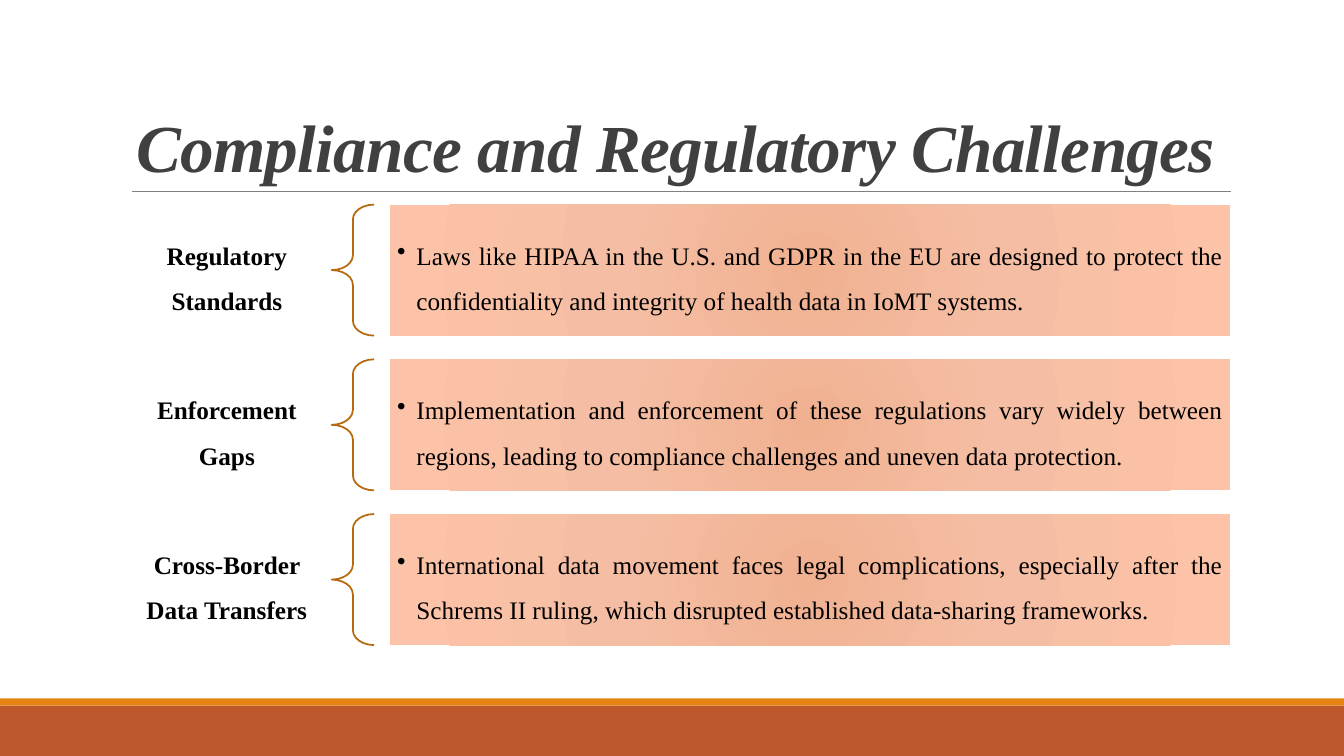
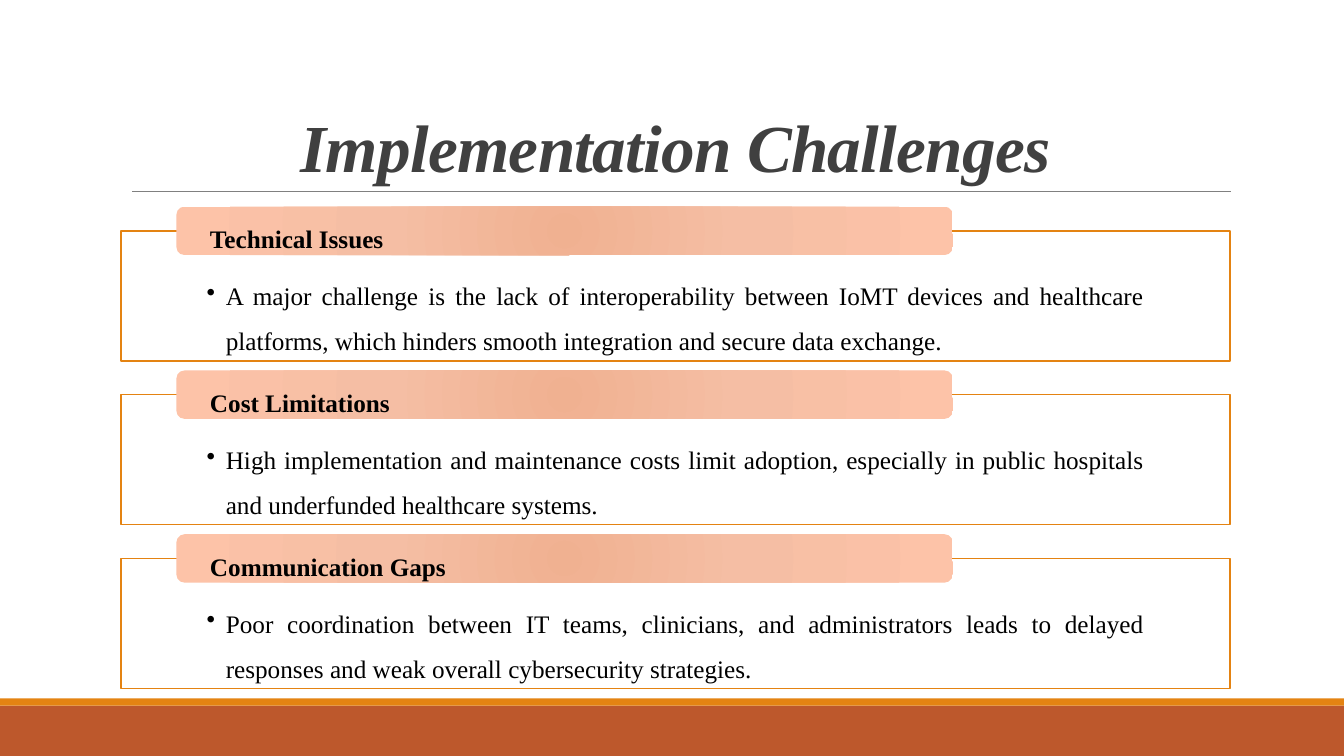
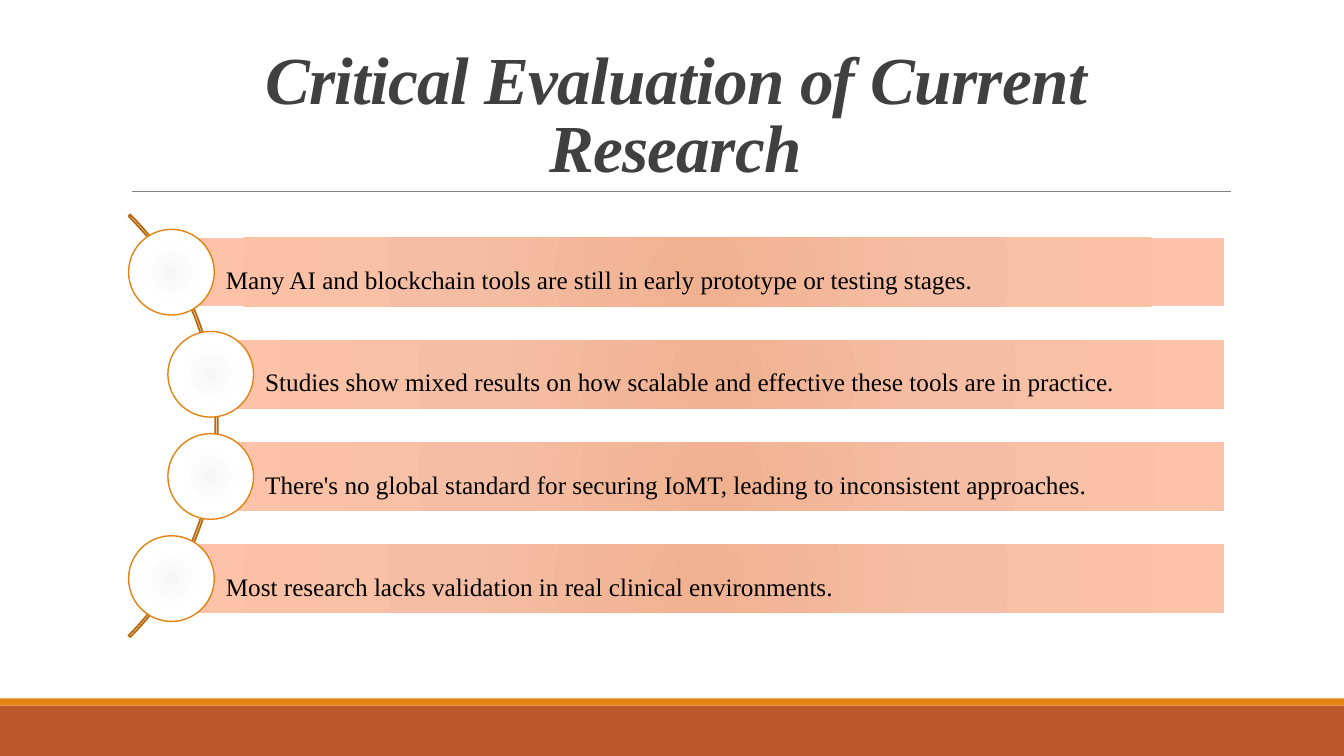
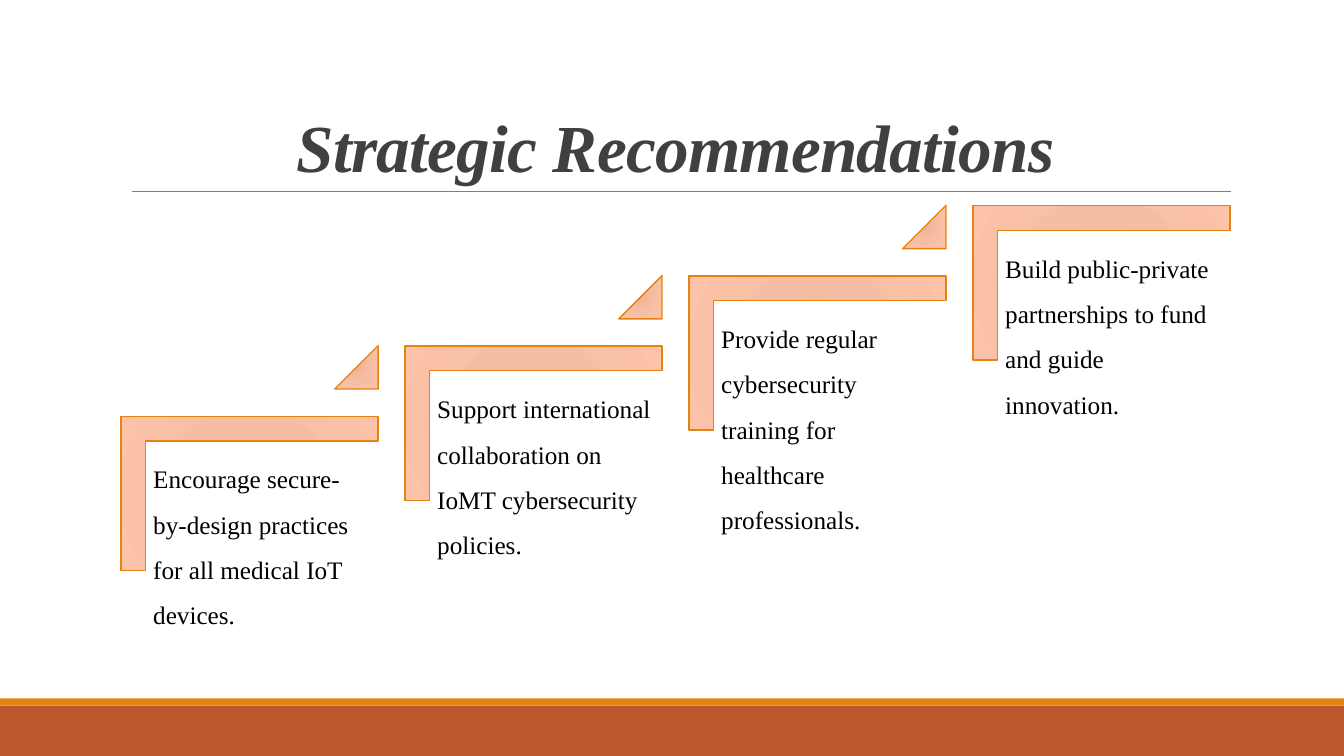
from dataclasses import dataclass

from lxml import etree
from pptx import Presentation
from pptx.dml.color import RGBColor
from pptx.enum.shapes import MSO_CONNECTOR, MSO_SHAPE
from pptx.enum.text import MSO_ANCHOR, MSO_AUTO_SIZE, PP_ALIGN
from pptx.oxml import parse_xml
from pptx.oxml.ns import nsdecls, qn
from pptx.presentation import Presentation as Deck
from pptx.shapes.autoshape import Shape
from pptx.slide import Slide, SlideLayout
from pptx.util import Inches, Pt

RECT, ROUND, OVAL = MSO_SHAPE.RECTANGLE, MSO_SHAPE.ROUNDED_RECTANGLE, MSO_SHAPE.OVAL
BRACE, ARC = MSO_SHAPE.LEFT_BRACE, MSO_SHAPE.BLOCK_ARC
CORNER, WEDGE = MSO_SHAPE.from_xml("corner"), MSO_SHAPE.ISOSCELES_TRIANGLE
LEFT, CENTER, JUSTIFY = PP_ALIGN.LEFT, PP_ALIGN.CENTER, PP_ALIGN.JUSTIFY
TOP, MIDDLE, BOTTOM = MSO_ANCHOR.TOP, MSO_ANCHOR.MIDDLE, MSO_ANCHOR.BOTTOM


@dataclass(frozen=True)
class Theme:
    font: str = "Times New Roman"
    title: int = 48
    body: int = 18
    ink: str = "000000"
    head: str = "404040"
    rule: str = "808080"
    rust: str = "BD582C"
    orange: str = "E48312"
    brown: str = "B7690E"
    white: str = "FFFFFF"
    peach: tuple[str, ...] = ("F0B191", "F5BEA4", "FDC3A8")
    pearl: tuple[str, ...] = ("F6F6F6", "FEFEFE", "FFFFFF")


THEME = Theme()


@dataclass(frozen=True)
class Box:
    left: float
    top: float
    width: float
    height: float


@dataclass(frozen=True)
class Style:
    inset: tuple[float, float, float, float]  # left, top, right, bottom
    align: PP_ALIGN = JUSTIFY
    anchor: MSO_ANCHOR = MIDDLE
    bold: bool = False
    bullet: bool = False


@dataclass(frozen=True)
class Topic:
    name: str
    text: str


LABEL = Style((0.14, 0.05, 0.14, 0.05), CENTER, bold=True)
POINT = Style((0.07, 0.07, 0.07, 0.07), bullet=True)
PANEL = Style((0.85, 0.34, 0.85, 0.14), anchor=TOP, bullet=True)
TAB = Style((0.31, 0.02, 0.31, 0.02), bold=True)
BAR = Style((0.54, 0.05, 0.05, 0.05))
STEP = Style((0.07, 0.07, 0.07, 0.07), LEFT, TOP)

RULES = (
    Topic("Regulatory Standards", "Laws like HIPAA in the U.S. and GDPR in the EU are designed to protect "
          "the confidentiality and integrity of health data in IoMT systems."),
    Topic("Enforcement Gaps", "Implementation and enforcement of these regulations vary widely between "
          "regions, leading to compliance challenges and uneven data protection."),
    Topic("Cross-Border Data Transfers", "International data movement faces legal complications, especially "
          "after the Schrems II ruling, which disrupted established data-sharing frameworks."),
)
ISSUES = (
    Topic("Technical Issues", "A major challenge is the lack of interoperability between IoMT devices and "
          "healthcare platforms, which hinders smooth integration and secure data exchange."),
    Topic("Cost Limitations", "High implementation and maintenance costs limit adoption, especially in "
          "public hospitals and underfunded healthcare systems."),
    Topic("Communication Gaps", "Poor coordination between IT teams, clinicians, and administrators leads "
          "to delayed responses and weak overall cybersecurity strategies."),
)
LIMITS = (
    "Many AI and blockchain tools are still in early prototype or testing stages.",
    "Studies show mixed results on how scalable and effective these tools are in practice.",
    "There's no global standard for securing IoMT, leading to inconsistent approaches.",
    "Most research lacks validation in real clinical environments.",
)
ADVICE = (
    "Encourage secure-by-design practices for all medical IoT devices.",
    "Support international collaboration on IoMT cybersecurity policies.",
    "Provide regular cybersecurity training for healthcare professionals.",
    "Build public-private partnerships to fund and guide innovation.",
)


# Helpers
def color(code: str) -> RGBColor:
    return RGBColor.from_string(code)


def spread(first: float, last: float, count: int) -> list[float]:
    """Evenly spaced positions from first to last."""
    return [first + (last - first) * i / (count - 1) for i in range(count)]


def lengths(box: Box) -> tuple[int, int, int, int]:
    return Inches(box.left), Inches(box.top), Inches(box.width), Inches(box.height)


def radial(shape: Shape, shades: tuple[str, ...]) -> None:
    """Fill a shape with a gradient that spreads from its centre."""
    stops = "".join(
        f'<a:gs pos="{pos * 1000}"><a:srgbClr val="{shade}"/></a:gs>'
        for pos, shade in zip((0, 45, 100), shades)
    )
    edge = " ".join(f'{side}="100000"' for side in "ltrb")
    grad = parse_xml(
        f'<a:gradFill {nsdecls("a")} rotWithShape="1"><a:gsLst>{stops}</a:gsLst>'
        f'<a:path path="circle"><a:fillToRect {edge}/></a:path></a:gradFill>'
    )
    shape.fill.background()
    blank = shape.element.spPr.find(qn("a:noFill"))
    blank.getparent().replace(blank, grad)


def draw(slide: Slide, kind: MSO_SHAPE, box: Box, fill: str | tuple[str, ...] | None = None,
         line: str | None = None, weight: float = 1, adjust: tuple[float, ...] = ()) -> Shape:
    shape = slide.shapes.add_shape(kind, *lengths(box))
    shape.shadow.inherit = False
    for i, value in enumerate(adjust):
        shape.adjustments[i] = value
    if fill is None:
        shape.fill.background()
    elif isinstance(fill, tuple):
        radial(shape, fill)
    else:
        shape.fill.solid()
        shape.fill.fore_color.rgb = color(fill)
    if line:
        shape.line.color.rgb = color(line)
        shape.line.width = Pt(weight)
    else:
        shape.line.fill.background()
    return shape


def write(shape: Shape, text: str, style: Style) -> None:
    frame = shape.text_frame
    frame.word_wrap = True
    frame.vertical_anchor = style.anchor
    (frame.margin_left, frame.margin_top,
     frame.margin_right, frame.margin_bottom) = map(Inches, style.inset)
    para = frame.paragraphs[0]
    para.text = text
    para.alignment = style.align
    para.line_spacing = 1.5
    para.space_after = Pt(3 if style.bullet else 6)
    if style.bullet:
        props = shape.element.find(".//" + qn("a:pPr"))
        props.set("marL", str(Inches(0.19)))
        props.set("indent", str(-Inches(0.19)))
        etree.SubElement(props, qn("a:buChar")).set("char", "•")
    font = para.font
    font.name, font.size, font.bold = THEME.font, Pt(THEME.body), style.bold
    font.color.rgb = color(THEME.ink)


def label(slide: Slide, box: Box, text: str, style: Style) -> None:
    write(slide.shapes.add_textbox(*lengths(box)), text, style)


# Shared parts
def dress(layout: SlideLayout, slide: Slide) -> None:
    """Draw the bands and the title rule, then move them to the layout."""
    for mark in list(layout.placeholders)[1:]:
        mark.element.getparent().remove(mark.element)
    base = draw(slide, RECT, Box(0, 7, 13.33, 0.5), THEME.rust)
    strip = draw(slide, RECT, Box(0, 6.93, 13.33, 0.07), THEME.orange)
    rule = slide.shapes.add_connector(
        MSO_CONNECTOR.STRAIGHT, Inches(1.31), Inches(1.9), Inches(12.21), Inches(1.9))
    rule.line.color.rgb = color(THEME.rule)
    rule.line.width = Pt(0.5)
    etree.SubElement(rule.element.spPr, qn("a:effectLst"))
    for part in (base, strip, rule):
        layout.shapes.element.append(part.element)


def head(slide: Slide, text: str) -> None:
    title = slide.shapes.title
    title.left, title.top, title.width, title.height = lengths(Box(1.2, 0.31, 11, 1.59))
    frame = title.text_frame
    frame.auto_size = MSO_AUTO_SIZE.NONE
    frame.word_wrap = True
    frame.vertical_anchor = BOTTOM
    para = frame.paragraphs[0]
    para.text = text
    para.alignment = CENTER
    para.line_spacing = 0.85
    font = para.font
    font.name, font.size = THEME.font, Pt(THEME.title)
    font.bold = font.italic = True
    font.color.rgb = color(THEME.head)
    title.element.find(".//" + qn("a:defRPr")).set("spc", "-50")


# Slide bodies
def braces(slide: Slide) -> None:
    high = 1.3
    for topic, top in zip(RULES, spread(2.03, 5.1, len(RULES))):
        label(slide, Box(1.21, top, 2.08, high), topic.name, LABEL)
        draw(slide, BRACE, Box(3.29, top, 0.42, high), line=THEME.brown, weight=1.25,
             adjust=(0.35, 0.5))
        write(draw(slide, RECT, Box(3.87, top, 8.33, high), THEME.peach), topic.text, POINT)


def panels(slide: Slide) -> None:
    for topic, top in zip(ISSUES, spread(2.29, 5.54, len(ISSUES))):
        panel = draw(slide, RECT, Box(1.2, top, 11, 1.29), THEME.white, THEME.orange)
        write(panel, topic.text, PANEL)
        tab = draw(slide, ROUND, Box(1.75, top - 0.24, 7.7, 0.48), THEME.peach)
        write(tab, topic.name, TAB)


def curve(slide: Slide) -> None:
    right, high, disc = 12.14, 0.68, 0.85
    draw(slide, ARC, Box(-3.77, 1.26, 5.93, 5.93), line=THEME.brown, weight=1.25,
         adjust=(189, 27, 0.004))
    lefts = (1.7, 2.09, 2.09, 1.7)
    for text, left, top in zip(LIMITS, lefts, spread(2.36, 5.4, len(LIMITS))):
        bar = draw(slide, RECT, Box(left, top, right - left, high), THEME.peach)
        write(bar, text, BAR)
        draw(slide, OVAL, Box(left - disc / 2, top + (high - disc) / 2, disc, disc),
             THEME.pearl, THEME.orange)


def stairs(slide: Slide) -> None:
    wide, high, thick = 2.55, 1.53, 0.16
    turn = (wide - high) / 2  # offset of the frame before its quarter turn
    count = len(ADVICE)
    spots = zip(ADVICE, spread(1.2, 9.65, count), spread(4.13, 2.04, count))
    for i, (text, left, top) in enumerate(spots):
        corner = draw(slide, CORNER, Box(left + turn, top - turn, high, wide),
                      THEME.peach, THEME.orange, adjust=(thick, thick))
        corner.rotation = 90
        label(slide, Box(left + 0.25, top + 0.25, 2.3, 2.02), text, STEP)
        if i < count - 1:
            draw(slide, WEDGE, Box(left + 2.12, top - 0.7, 0.43, 0.43),
                 THEME.peach, THEME.orange, adjust=(1,))


PAGES = (
    ("Compliance and Regulatory Challenges", braces),
    ("Implementation Challenges", panels),
    ("Critical Evaluation of Current Research", curve),
    ("Strategic Recommendations", stairs),
)


def main() -> None:
    deck: Deck = Presentation()
    deck.slide_width, deck.slide_height = Inches(13.33), Inches(7.5)
    layout = deck.slide_layouts.get_by_name("Title Only")
    slides = [deck.slides.add_slide(layout) for _ in PAGES]
    dress(layout, slides[0])
    for slide, (title, body) in zip(slides, PAGES):
        head(slide, title)
        body(slide)
    deck.save("out.pptx")


if __name__ == "__main__":
    main()
